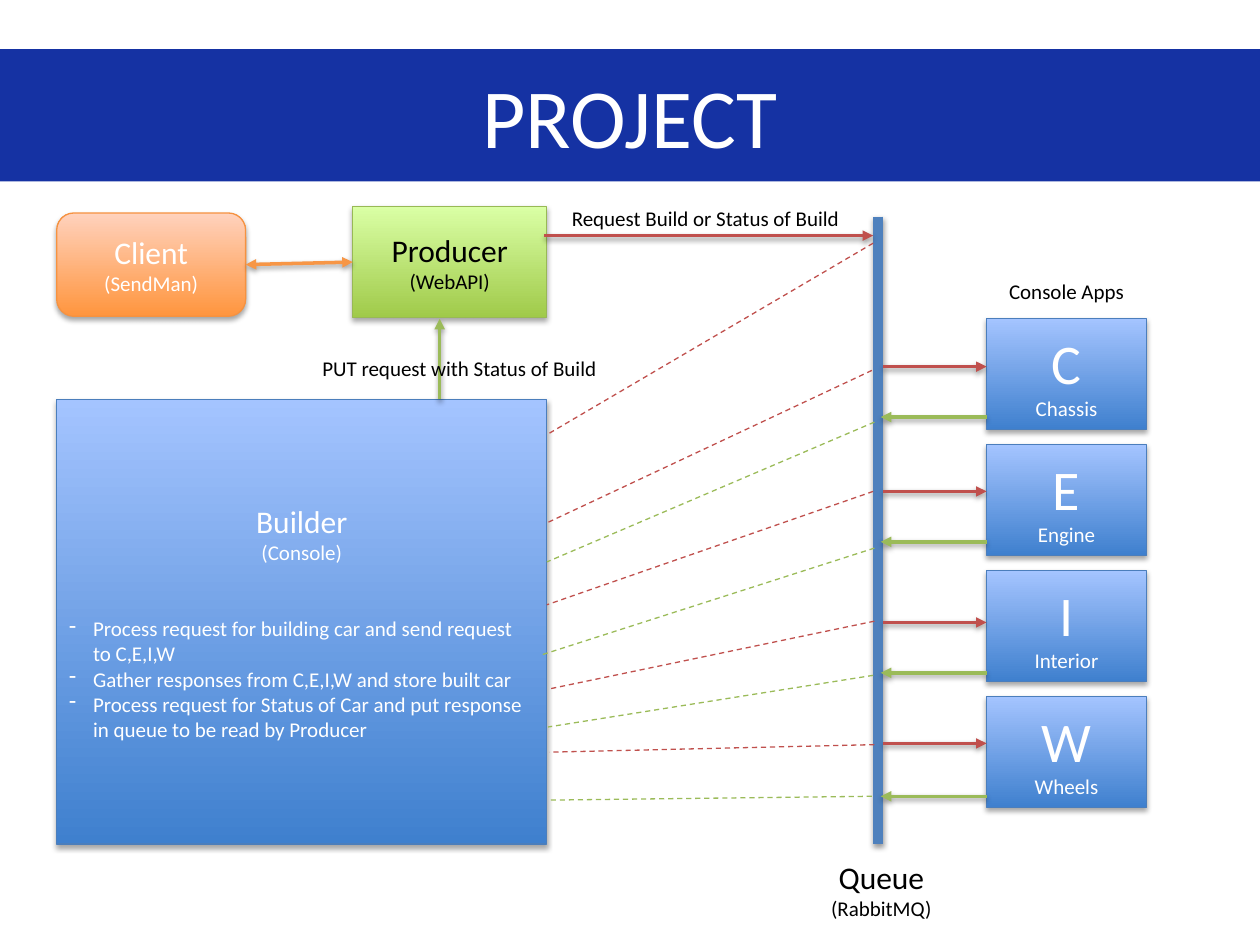
from lxml.etree import SubElement
from pptx import Presentation
from pptx.dml.color import RGBColor
from pptx.enum.dml import MSO_LINE
from pptx.enum.shapes import MSO_CONNECTOR, MSO_SHAPE
from pptx.enum.text import MSO_ANCHOR, MSO_AUTO_SIZE, PP_ALIGN
from pptx.oxml.ns import qn
from pptx.util import Inches, Pt

COLS, ROWS = 100, 75
CELL = Inches(10) // COLS
COLORS = {
    "band": "1532A3", "white": "FFFFFF", "black": "000000", "queue": "4F81BD",
    "request": "C0504D", "reply": "9BBB59", "client": "F79646",
}
STYLES = {
    "blue": ("3F80CE", "A4C4FF", "4B7EBC"),
    "green": ("A0CA4A", "DAFFA5", "98B955"),
    "orange": ("FF953E", "FFD2BD", "F69240"),
}
MODULES = [("C", "Chassis"), ("E", "Engine"), ("I", "Interior"), ("W", "Wheels")]
REQUEST_ROWS = [29.1, 39, 49.4, 59]
REPLY_ROWS = [33.1, 43, 53.4, 63.2]
REQUEST_LINKS = [
    (69.3, 19.3, 43.4, 34.5), (69.2, 29.4, 43.4, 41.5), (69.3, 39, 43.4, 48),
    (69.4, 49.3, 43.5, 54.7), (69.4, 59.1, 43.6, 59.7),
]
REPLY_LINKS = [
    (69.4, 33.5, 43.4, 44.6), (69.4, 43.5, 42.9, 52),
    (69.3, 53.6, 43.5, 57.7), (69.2, 63.2, 43.6, 63.5),
]
TASKS = [
    "Process request for building car and send request to C,E,I,W",
    "Gather responses from C,E,I,W and store built car",
    "Process request for Status of Car and put response in queue to be read by Producer",
]


def grid(*cells):
    return [round(c * CELL) for c in cells]


def rgb(value):
    return RGBColor.from_string(value)


def add_text(tf, text, size=12, color="black", align=PP_ALIGN.CENTER, bullet=None, before=0):
    p = tf.paragraphs[0]
    if p.runs:
        p = tf.add_paragraph()
    p.alignment = align
    if bullet:
        pPr = p._p.get_or_add_pPr()
        pPr.set("marL", str(Inches(0.19)))
        pPr.set("indent", str(-Inches(0.19)))
        SubElement(pPr, qn("a:buChar"), char=bullet)
    if before:
        p.space_before = Pt(before)
    r = p.add_run()
    r.text = text
    r.font.size = Pt(size)
    r.font.name = "Calibri"
    r.font.color.rgb = rgb(COLORS[color])


def add_effects(spPr, alpha=None, dist=1.6):
    effects = spPr.find(qn("a:effectLst"))
    if effects is None:
        effects = SubElement(spPr, qn("a:effectLst"))
    if alpha:
        shadow = SubElement(effects, qn("a:outerShdw"), blurRad=str(Pt(3.1)),
                            dist=str(Pt(dist)), dir="5400000", rotWithShape="0")
        clr = SubElement(shadow, qn("a:srgbClr"), val=COLORS["black"])
        SubElement(clr, qn("a:alpha"), val=str(alpha * 1000))


def add_box(s, at, style, name, detail, size=18, color="white", shape=MSO_SHAPE.RECTANGLE):
    sp = s.shapes.add_shape(shape, *grid(*at))
    *stops, border = STYLES[style]
    sp.fill.gradient()
    sp.fill.gradient_angle = 90
    for stop, value in zip(sp.fill.gradient_stops, stops):
        stop.color.rgb = rgb(value)
    sp.line.color.rgb = rgb(border)
    sp.line.width = Pt(0.75)
    sp.shadow.inherit = False
    add_effects(sp._element.spPr, alpha=35, dist=1.8)
    tf = sp.text_frame
    tf.word_wrap = True
    tf.vertical_anchor = MSO_ANCHOR.MIDDLE
    add_text(tf, name, size=size, color=color)
    add_text(tf, detail, color=color)
    return sp


def add_label(s, at, *lines, **fmt):
    tf = s.shapes.add_textbox(*grid(*at)).text_frame
    tf.word_wrap = False
    tf.auto_size = MSO_AUTO_SIZE.SHAPE_TO_FIT_TEXT
    for text, size in lines:
        add_text(tf, text, size=size, **fmt)


def add_line(s, ends, color, width=2, arrows=("tailEnd",), dashed=False):
    ln = s.shapes.add_connector(MSO_CONNECTOR.STRAIGHT, *grid(*ends))
    ln.line.color.rgb = rgb(COLORS[color])
    ln.line.width = Pt(width)
    if dashed:
        ln.line.dash_style = MSO_LINE.DASH
    for end in arrows:
        SubElement(ln.line._get_or_add_ln(), qn("a:" + end), type="triangle")
    add_effects(ln._element.spPr, alpha=None if dashed else 38)
    return ln


def add_title(s, text):
    sp = s.shapes.title
    sp.left, sp.top, sp.width, sp.height = grid(0, 3.9, COLS, 10.5)
    sp.fill.solid()
    sp.fill.fore_color.rgb = rgb(COLORS["band"])
    add_text(sp.text_frame, text, size=48, color="white")


def add_modules(s):
    for i, (letter, name) in enumerate(MODULES):
        add_box(s, (78.3, 25.3 + 10 * i, 12.7, 8.8), "blue", letter, name, size=32)


def add_queue(s):
    add_line(s, (69.7, 17.2, 69.7, 67), "queue", width=6, arrows=())
    add_label(s, (64.9, 67.6, 10.1, 6.1), ("Queue", 18), ("(RabbitMQ)", 12))
    for row in REQUEST_ROWS:
        add_line(s, (70.1, row, 78.3, row), "request")
    for row in REPLY_ROWS:
        add_line(s, (78.3, row, 69.9, row), "reply")


def add_builder(s):
    sp = add_box(s, (4.5, 31.7, 38.9, 35.3), "blue", "Builder", "(Console)")
    for i, task in enumerate(TASKS):
        add_text(sp.text_frame, task, color="white", align=PP_ALIGN.LEFT,
                 bullet="-", before=0 if i else 29)


def main():
    prs = Presentation()
    prs.slide_width, prs.slide_height = grid(COLS, ROWS)
    s = prs.slides.add_slide(prs.slide_layouts[5])
    add_title(s, "PROJECT")
    add_modules(s)
    add_queue(s)
    producer = add_box(s, (28, 16.4, 15.4, 8.8), "green", "Producer", "(WebAPI)", color="black")
    add_builder(s)
    client = add_box(s, (4.5, 16.9, 15, 8.2), "orange", "Client", "(SendMan)",
                     shape=MSO_SHAPE.ROUNDED_RECTANGLE)
    link = add_line(s, (19.5, 21, 28, 20.8), "client", arrows=("headEnd", "tailEnd"))
    link.begin_connect(client, 3)
    link.end_connect(producer, 1)
    add_line(s, (43.2, 18.7, 69.3, 18.7), "request")
    add_line(s, (34.9, 31.7, 34.9, 25.3), "reply")
    for color, links in (("request", REQUEST_LINKS), ("reply", REPLY_LINKS)):
        for ends in links:
            add_line(s, ends, color, width=0.75, arrows=(), dashed=True)
    for text, at in (
        ("Console Apps", (79.1, 21.6, 11.2, 3)),
        ("Request Build or Status of Build", (44.4, 15.8, 23.4, 3)),
        ("PUT request with Status of Build", (24.6, 27.7, 24, 3)),
    ):
        add_label(s, at, (text, 12), align=PP_ALIGN.LEFT)
    prs.save("out.pptx")


if __name__ == "__main__":
    main()
